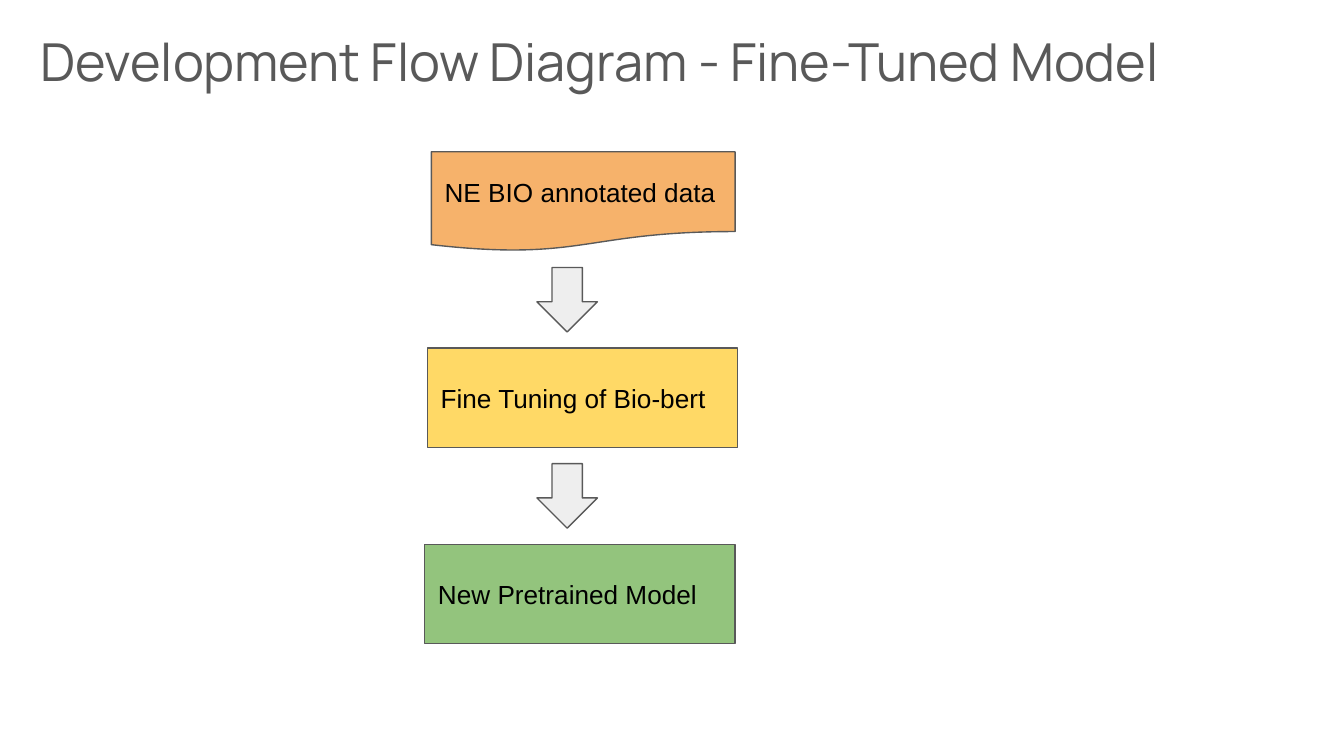
from pptx import Presentation
from pptx import util as u
from pptx.dml.color import RGBColor
from pptx.enum import shapes, text

GREY = RGBColor(0x59, 0x59, 0x59)
BLACK = RGBColor(0, 0, 0)
ORANGE = RGBColor(0xF6, 0xB2, 0x6B)
YELLOW = RGBColor(0xFF, 0xD9, 0x66)
GREEN = RGBColor(0x93, 0xC4, 0x7D)
PALE = RGBColor(0xEE, 0xEE, 0xEE)
SHAPE = shapes.MSO_SHAPE

TITLE = "Development Flow Diagram - Fine-Tuned Model"
STEPS = [
    ("NE BIO annotated data", SHAPE.FLOWCHART_DOCUMENT, ORANGE, 3.21, 2.26),
    ("Fine Tuning of Bio-bert", SHAPE.RECTANGLE, YELLOW, 3.18, 2.31),
    ("New Pretrained Model", SHAPE.RECTANGLE, GREEN, 3.16, 2.31),
]
TOP, PITCH, BOX_H = 1.13, 1.46, 0.74
ARROW_X, ARROW_W, ARROW_H = 3.98, 0.48, 0.45


def write(sp, content, size=14, font="Arial", color=BLACK,
          anchor=text.MSO_ANCHOR.MIDDLE):
    tf = sp.text_frame
    tf.word_wrap = True
    tf.auto_size = text.MSO_AUTO_SIZE.NONE
    tf.vertical_anchor = anchor
    tf.margin_left = tf.margin_right = u.Inches(0.1)
    tf.margin_top = tf.margin_bottom = u.Inches(0.1)
    p = tf.paragraphs[0]
    p.alignment = text.PP_ALIGN.LEFT
    r = p.add_run()
    r.text = content
    r.font.size = u.Pt(size)
    r.font.name = font
    r.font.color.rgb = color


def add_block(s, kind, x, y, w, h, fill):
    sp = s.shapes.add_shape(kind, *map(u.Inches, (x, y, w, h)))
    sp.shadow.inherit = False
    sp.fill.solid()
    sp.fill.fore_color.rgb = fill
    sp.line.color.rgb = GREY
    sp.line.width = u.Pt(0.75)
    return sp


def main():
    prs = Presentation()
    prs.slide_width = u.Inches(10)
    prs.slide_height = prs.slide_width * 9 // 16
    s = prs.slides.add_slide(prs.slide_layouts[5])

    title = s.shapes.title
    title.left, title.top = u.Inches(0.2), u.Inches(0.12)
    title.width, title.height = u.Inches(9.32), u.Inches(0.87)
    write(title, TITLE, size=28, font="Manrope", color=GREY,
          anchor=text.MSO_ANCHOR.TOP)

    for i, (label, kind, fill, x, w) in enumerate(STEPS):
        y = TOP + i * PITCH
        write(add_block(s, kind, x, y, w, BOX_H, fill), label)
        if i < len(STEPS) - 1:
            arrow_y = y + (BOX_H + PITCH - ARROW_H) / 2
            arrow = add_block(s, SHAPE.RIGHT_ARROW, ARROW_X, arrow_y,
                              ARROW_W, ARROW_H, PALE)
            arrow.rotation = 90

    prs.save("out.pptx")


if __name__ == "__main__":
    main()
